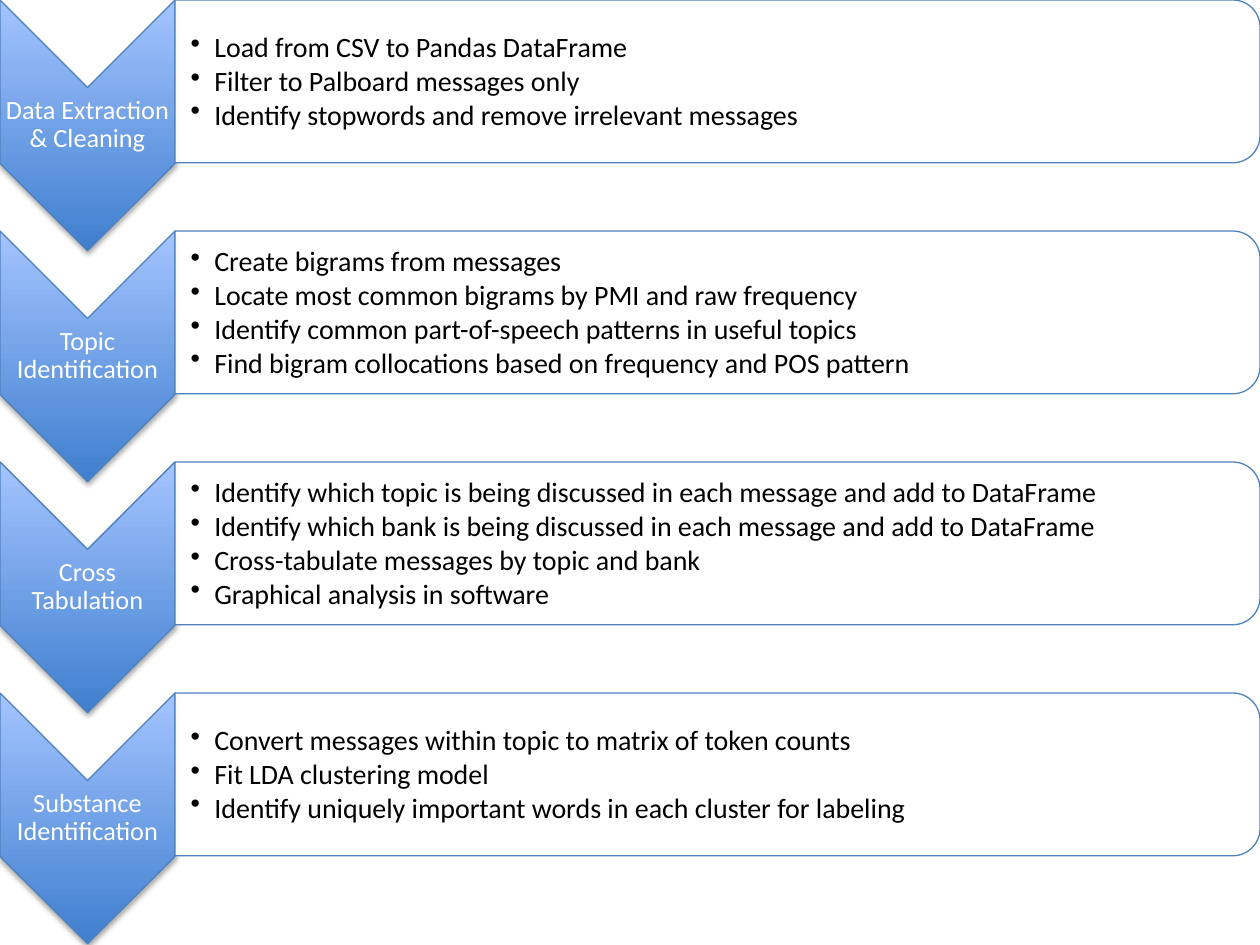
from dataclasses import dataclass

from lxml import etree
from pptx import Presentation
from pptx import util as u
from pptx.dml.color import RGBColor
from pptx.enum import shapes, text
from pptx.oxml.ns import qn


@dataclass(frozen=True)
class Theme:
    font: str = "Calibri"
    label_size: float = 15
    bullet_size: float = 16
    label_color: str = "FFFFFF"
    bullet_color: str = "000000"
    dark: str = "3F7FCE"
    light: str = "A4C4FF"
    outline: str = "4F81BD"
    panel: str = "FFFFFF"
    shadow: str = "000000"


ROW_PITCH = 132
CHEVRON_WIDTH, CHEVRON_HEIGHT = 100, 143.3
PANEL_WIDTH, PANEL_HEIGHT = 620, 93
LABEL_TOP, LABEL_HEIGHT = 50, 43.2
LIST_TOP, LIST_WIDTH, LIST_HEIGHT = 5, 615, 84
BULLET_INDENT = 13.5
THIN_INSET, LIST_INSET = 0.75, 9

STAGES = [
    ("Data Extraction & Cleaning", [
        "Load from CSV to Pandas DataFrame",
        "Filter to Palboard messages only",
        "Identify stopwords and remove irrelevant messages",
    ]),
    ("Topic Identification", [
        "Create bigrams from messages",
        "Locate most common bigrams by PMI and raw frequency",
        "Identify common part-of-speech patterns in useful topics",
        "Find bigram collocations based on frequency and POS pattern",
    ]),
    ("Cross Tabulation", [
        "Identify which topic is being discussed in each message and add to DataFrame",
        "Identify which bank is being discussed in each message and add to DataFrame",
        "Cross-tabulate messages by topic and bank",
        "Graphical analysis in software",
    ]),
    ("Substance Identification", [
        "Convert messages within topic to matrix of token counts",
        "Fit LDA clustering model",
        "Identify uniquely important words in each cluster for labeling",
    ]),
]


def add_element(parent, tag, **attributes):
    return etree.SubElement(parent, qn(tag), attributes)


class StageSlide:
    def __init__(self, page, theme):
        self.page = page
        self.theme = theme

    def turned_shape(self, kind, left, top, width, height):
        """Add a shape turned by 90 degrees that covers the given area."""
        shift = (width - height) / 2
        shape = self.page.shapes.add_shape(
            kind, u.Pt(left + shift), u.Pt(top - shift), u.Pt(height), u.Pt(width))
        shape.rotation = 90
        shape.shadow.inherit = False
        shape.line.color.rgb = RGBColor.from_string(self.theme.outline)
        shape.line.width = u.Pt(0.75)
        return shape

    def chevron(self, top):
        shape = self.turned_shape(
            shapes.MSO_SHAPE.CHEVRON, 0, top, CHEVRON_WIDTH, CHEVRON_HEIGHT)
        shape.fill.gradient()
        shape.fill.gradient_angle = 90
        for stop, color in zip(shape.fill.gradient_stops, (self.theme.dark, self.theme.light)):
            stop.color.rgb = RGBColor.from_string(color)
        properties = shape._element.spPr
        properties.find(qn("a:gradFill")).set("rotWithShape", "0")
        shadow = add_element(
            properties.find(qn("a:effectLst")), "a:outerShdw", blurRad=str(u.Pt(3.1)),
            dist=str(u.Pt(1.8)), dir="5400000", rotWithShape="0")
        color = add_element(shadow, "a:srgbClr", val=self.theme.shadow)
        add_element(color, "a:alpha", val="35000")

    def panel(self, top):
        shape = self.turned_shape(
            shapes.MSO_SHAPE.ROUND_2_SAME_RECTANGLE, CHEVRON_WIDTH, top,
            PANEL_WIDTH, PANEL_HEIGHT)
        shape.fill.solid()
        shape.fill.fore_color.rgb = RGBColor.from_string(self.theme.panel)
        color = shape._element.spPr.find(qn("a:solidFill")).find(qn("a:srgbClr"))
        add_element(color, "a:alpha", val="90000")

    def text_box(self, words, left, top, width, height, inset, size, color):
        box = self.page.shapes.add_textbox(
            u.Pt(left), u.Pt(top), u.Pt(width), u.Pt(height))
        frame = box.text_frame
        frame.word_wrap = True
        frame.vertical_anchor = text.MSO_ANCHOR.MIDDLE
        frame.margin_left = u.Pt(inset)
        frame.margin_right = frame.margin_top = frame.margin_bottom = u.Pt(THIN_INSET)
        frame.text = words
        for para in frame.paragraphs:
            para.line_spacing = 0.9
            for span in para.runs:
                span.font.name = self.theme.font
                span.font.size = u.Pt(size)
                span.font.color.rgb = RGBColor.from_string(color)
        return frame

    def label(self, words, top):
        frame = self.text_box(
            words, 0, top + LABEL_TOP, CHEVRON_WIDTH, LABEL_HEIGHT, THIN_INSET,
            self.theme.label_size, self.theme.label_color)
        frame.paragraphs[0].alignment = text.PP_ALIGN.CENTER

    def bullets(self, items, top):
        frame = self.text_box(
            "\n".join(items), CHEVRON_WIDTH, top + LIST_TOP, LIST_WIDTH, LIST_HEIGHT,
            LIST_INSET, self.theme.bullet_size, self.theme.bullet_color)
        for para in frame.paragraphs:
            para.level = 1
            para.space_after = u.Pt(2.1)
            properties = para._p.get_or_add_pPr()
            properties.set("marL", str(u.Pt(BULLET_INDENT)))
            properties.set("indent", str(-u.Pt(BULLET_INDENT)))
            add_element(properties, "a:buChar", char="•")


def main():
    deck = Presentation()
    deck.slide_width, deck.slide_height = u.Pt(720), u.Pt(540)
    blank_layout = deck.slide_layouts[6]
    slide = StageSlide(deck.slides.add_slide(blank_layout), Theme())
    for row, (name, steps) in enumerate(STAGES):
        top = row * ROW_PITCH
        slide.chevron(top)
        slide.label(name, top)
        slide.panel(top)
        slide.bullets(steps, top)
    deck.save("out.pptx")


if __name__ == "__main__":
    main()
